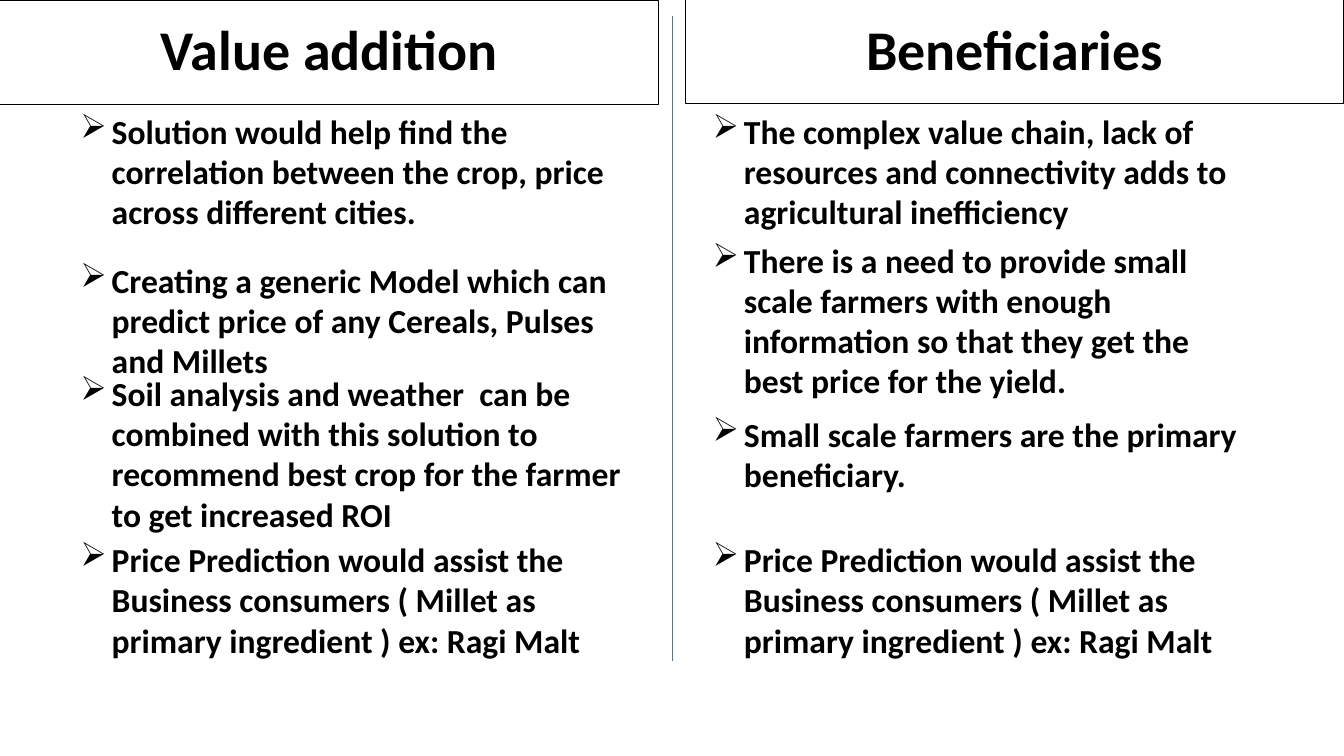
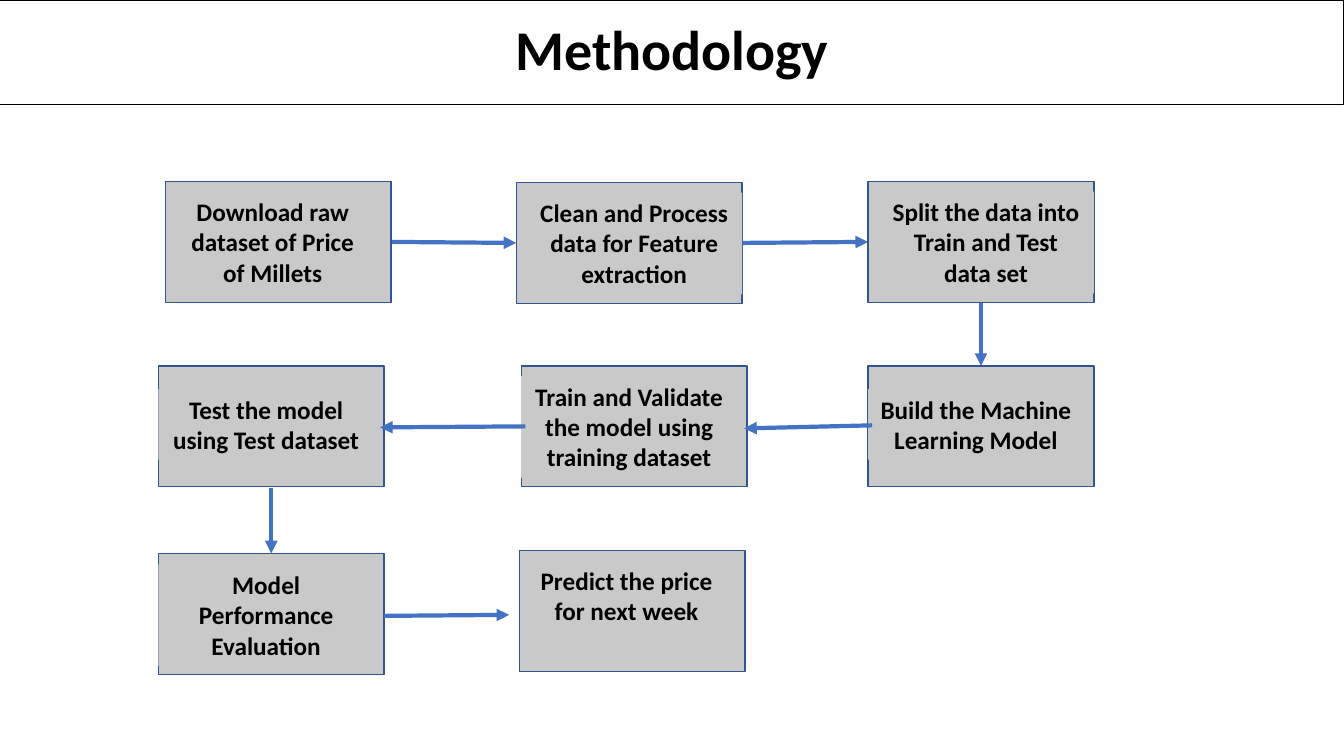
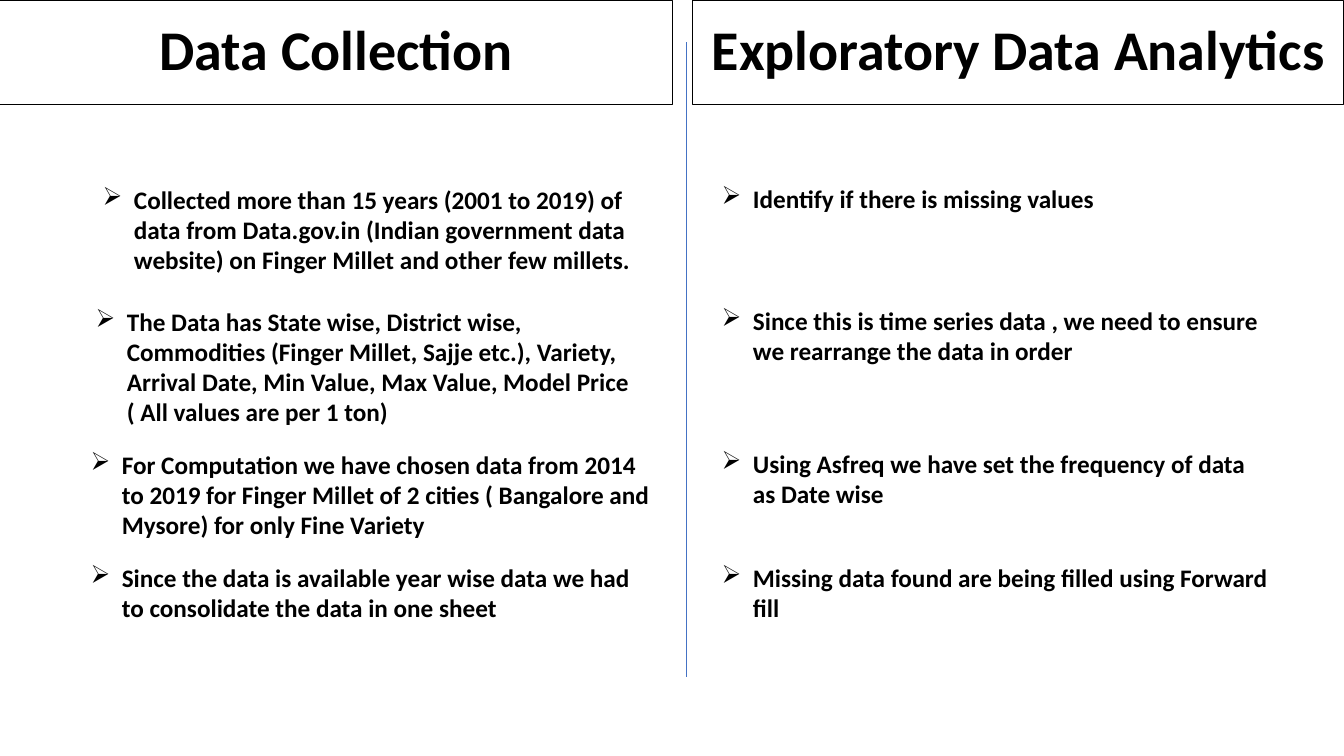
"""Build three slides on forecasting millet prices."""
from dataclasses import dataclass

from lxml import etree
from pptx import Presentation
from pptx import util as u
from pptx.dml.color import RGBColor
from pptx.enum import shapes, text
from pptx.oxml.ns import qn


@dataclass(frozen=True)
class Theme:
    font: str = "Calibri"
    ink: str = "000000"
    gray: str = "C9C9C9"
    edge: str = "325491"
    blue: str = "4472C4"
    title: int = 40
    large: int = 24
    small: int = 18


T = Theme()
PX = 9144
WIDE, HIGH = 1333, 750
BAND = 103
INDENT = 31

MALT = "Price Prediction would assist the Business consumers ( Millet as primary ingredient ) ex: Ragi Malt"

VALUE = {
    "size": T.large,
    "rule": (667, 16, 656),
    "sides": [
        {"title": "Value addition", "band": (0, 1, 653), "width": 560, "items": [
            (70, 104, 3, "Solution would help find the correlation between the crop, price across different cities."),
            (70, 252, 3, "Creating a generic Model which can predict price of any Cereals, Pulses and Millets"),
            (70, 364, 4, "Soil analysis and weather  can be combined with this solution to recommend best crop for the farmer to get increased ROI"),
            (70, 529, 3, MALT),
        ]},
        {"title": "Beneficiaries", "band": (680, 0, 653), "width": 558, "items": [
            (697, 104, 3, "The complex value chain, lack of resources and connectivity adds to agricultural inefficiency"),
            (697, 232, 4, "There is a need to provide small scale farmers with enough information so that they get the best price for the yield."),
            (697, 405, 2, "Small scale farmers are the primary beneficiary."),
            (697, 529, 3, MALT),
        ]},
    ],
}

DATA = {
    "size": T.small,
    "rule": (681, 42, 672),
    "sides": [
        {"title": "Data Collection", "band": (0, 1, 667), "width": 575, "items": [
            (92, 177, 3, "Collected more than 15 years (2001 to 2019) of data from Data.gov.in (Indian government data website) on Finger Millet and other few millets."),
            (85, 298, 4, "The Data has State wise, District wise, Commodities (Finger Millet, Sajje etc.), Variety, Arrival Date, Min Value, Max Value, Model Price ( All values are per 1 ton)"),
            (80, 440, 3, "For Computation we have chosen data from 2014 to 2019 for Finger Millet of 2 cities ( Bangalore and Mysore) for only Fine Variety"),
            (80, 553, 2, "Since the data is available year wise data we had to consolidate the data in one sheet"),
        ]},
        {"title": "Exploratory Data Analytics", "band": (687, 1, 646), "width": 566, "items": [
            (706, 177, 1, "Identify if there is missing values"),
            (706, 298, 2, "Since this is time series data , we need to ensure we rearrange the data in order"),
            (706, 440, 2, "Using Asfreq we have set the frequency of data as Date wise"),
            (706, 553, 2, "Missing data found are being filled using Forward fill"),
        ]},
    ],
}

STEP = (224, 120)
STEPS = [
    ((164, 180), (10, 10, 193), 3, "Download raw dataset of Price of Millets"),
    ((512, 181), (10, 10, 214), 3, "Clean and Process data for Feature extraction"),
    ((861, 180), (10, 10, 214), 3, "Split the data into Train and Test data set"),
    ((861, 363), (0, 23, 214), 2, "Build the Machine Learning Model"),
    ((517, 363), (0, 10, 214), 3, "Train and Validate the model using training dataset"),
    ((157, 363), (0, 23, 214), 2, "Test the model using Test dataset"),
    ((157, 549), (0, 11, 214), 3, "Model Performance Evaluation"),
    ((515, 546), (10, 10, 193), 2, "Predict the price for next week"),
]
ARROWS = [
    (389, 240, 512, 241), (737, 241, 861, 240), (973, 299, 973, 363),
    (865, 422, 738, 425), (521, 423, 377, 424), (269, 484, 269, 549),
    (381, 611, 505, 610),
]


def px(*nums):
    """Turn px lengths into EMU."""
    return [u.Emu(round(n * PX)) for n in nums]


def rgb(code):
    """Give the colour for a hex code."""
    return RGBColor.from_string(code)


def tall(lines, size):
    """Give the height in px of a text frame with its insets."""
    return 10 + round(lines * size * 1.68)


def rect(slide, area, fill=None, line=None, width=1):
    """Add a plain rectangle."""
    box = slide.shapes.add_shape(shapes.MSO_SHAPE.RECTANGLE, *px(*area))
    box.shadow.inherit = False
    if fill:
        box.fill.solid()
        box.fill.fore_color.rgb = rgb(fill)
    else:
        box.fill.background()
    if line:
        box.line.color.rgb = rgb(line)
        box.line.width = u.Pt(width)
    else:
        box.line.fill.background()
    return box


def write(box, words, size=T.small, align="CENTER", anchor="MIDDLE", space=None, bullet=None):
    """Put formatted text into a shape."""
    frame = box.text_frame
    frame.word_wrap = True
    frame.vertical_anchor = text.MSO_ANCHOR[anchor]
    para = frame.paragraphs[0]
    para.alignment = text.PP_ALIGN[align]
    if space:
        para.line_spacing = space
    if bullet:
        props = para._p.get_or_add_pPr()
        inset = px(INDENT)[0]
        props.set("marL", str(inset))
        props.set("indent", str(-inset))
        etree.SubElement(props, qn("a:buChar")).set("char", bullet)
    run = para.add_run()
    run.text = words
    font = run.font
    font.name, font.size, font.bold = T.font, u.Pt(size), True
    font.color.rgb = rgb(T.ink)


def join(slide, ends, width, arrow=False):
    """Add a straight line, with an arrowhead if asked."""
    line = slide.shapes.add_connector(shapes.MSO_CONNECTOR.STRAIGHT, *px(*ends))
    line.line.color.rgb = rgb(T.blue)
    line.line.width = u.Pt(width)
    if arrow:
        tail = etree.SubElement(line.line._get_or_add_ln(), qn("a:tailEnd"))
        tail.set("type", "triangle")
    etree.SubElement(line._element.spPr, qn("a:effectLst"))


def head(slide, words, left, top, width):
    """Add a framed title band."""
    band = rect(slide, (left, top, width, BAND), line=T.ink, width=0.75)
    write(band, words, size=T.title, space=0.9)


def split(slide, plan):
    """Lay out two titled columns of bullets."""
    size = plan["size"]
    for side in plan["sides"]:
        head(slide, side["title"], *side["band"])
        for left, top, lines, words in side["items"]:
            area = px(left, top, side["width"], tall(lines, size))
            write(slide.shapes.add_textbox(*area), words, size=size, align="LEFT", bullet="➢")
    x, top, end = plan["rule"]
    join(slide, (x, top, x, end), 0.5)


def flow(slide):
    """Lay out the steps and their arrows."""
    head(slide, "Methodology", 0, 1, WIDE)
    for ends in ARROWS[:3]:
        join(slide, ends, 3, arrow=True)
    for (x, y), (dx, dy, width), lines, words in STEPS:
        rect(slide, (x, y, *STEP), fill=T.gray, line=T.edge)
        label = rect(slide, (x + dx, y + dy, width, tall(lines, T.small)), fill=T.gray)
        write(label, words, anchor="TOP")
    for ends in ARROWS[3:]:
        join(slide, ends, 3, arrow=True)


def main():
    """Build and save the deck."""
    deck = Presentation()
    deck.slide_width, deck.slide_height = px(WIDE, HIGH)
    first, second, third = [deck.slides.add_slide(deck.slide_layouts[6]) for _ in range(3)]
    split(first, VALUE)
    flow(second)
    split(third, DATA)
    deck.save("out.pptx")


if __name__ == "__main__":
    main()
